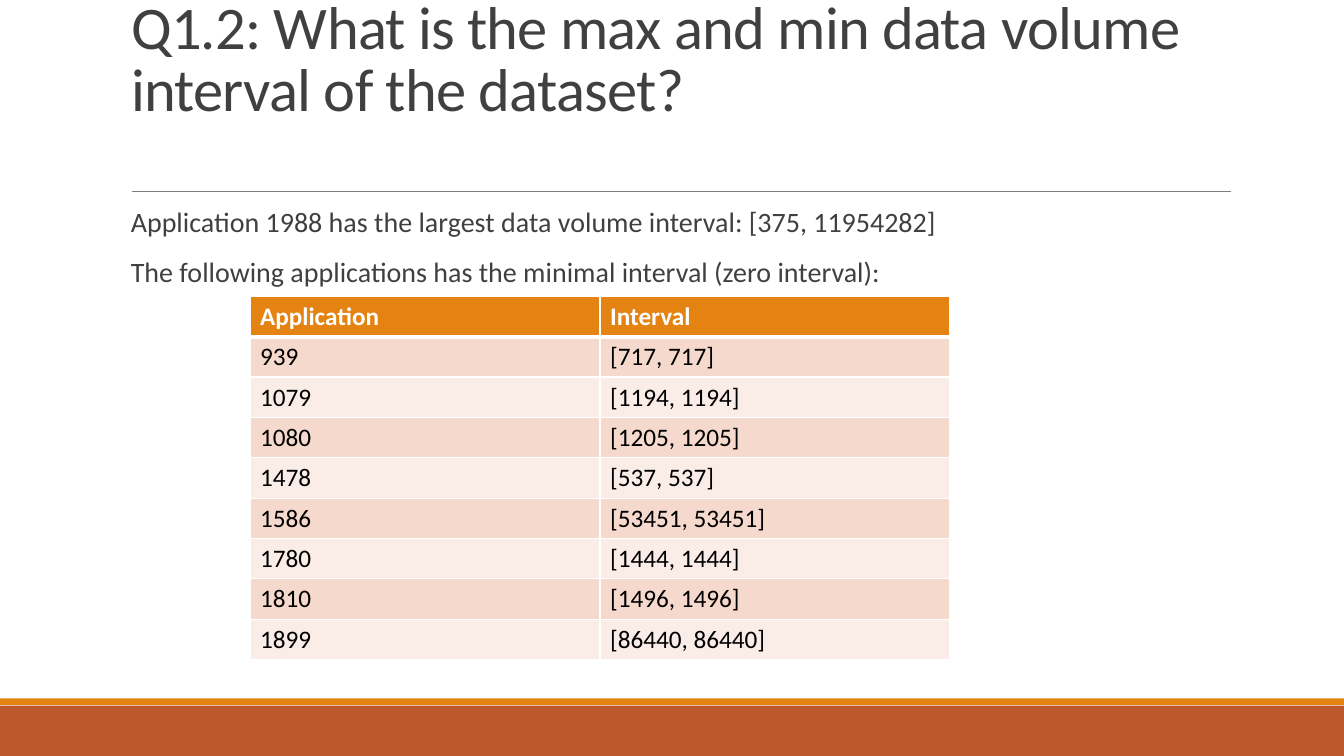
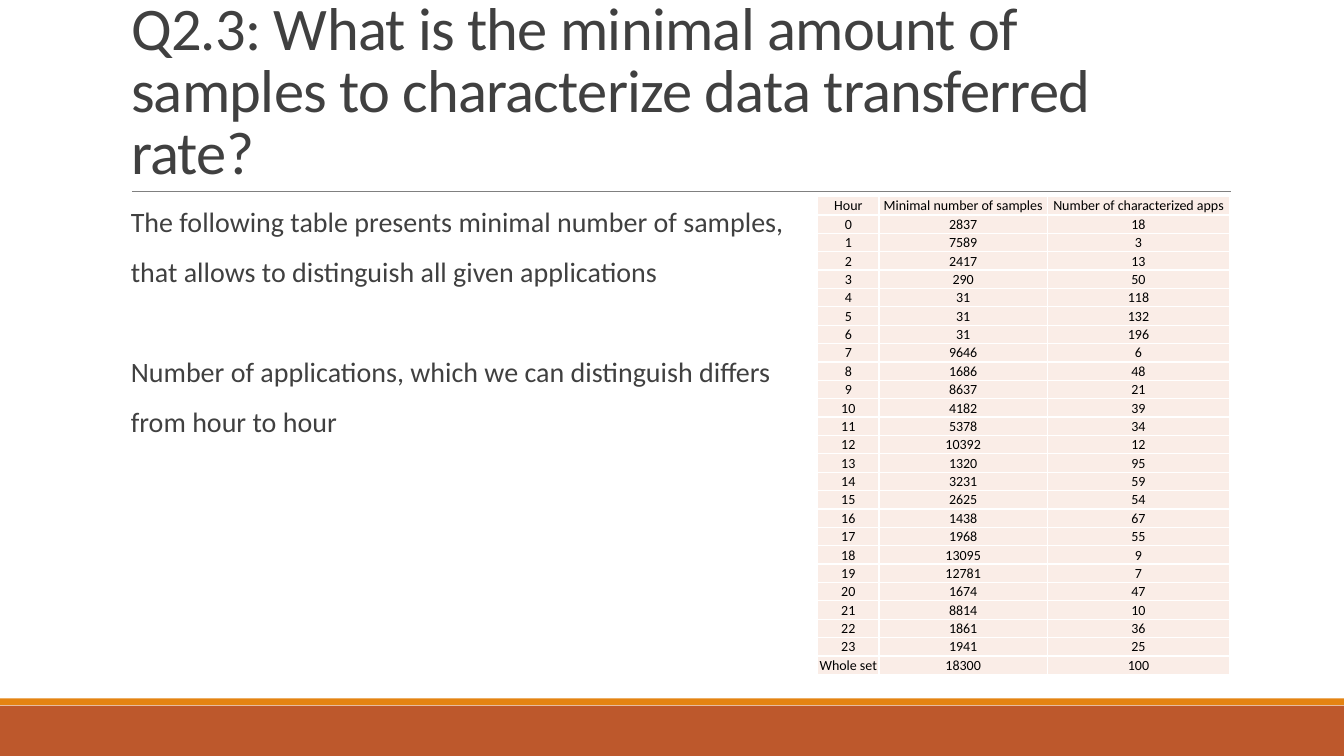
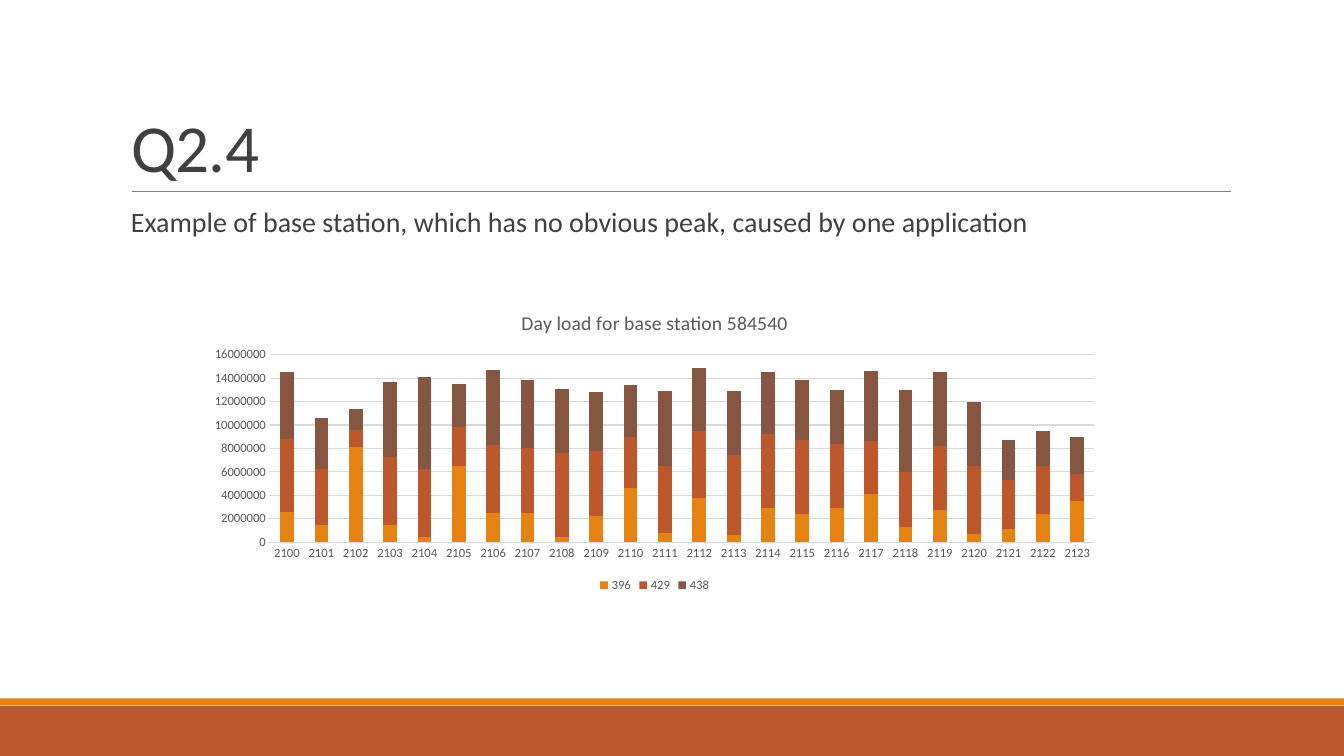
"""Build three slides on application traffic: two tables and a stacked column chart."""
from dataclasses import dataclass
from typing import Any, Optional

import lxml.etree
import pptx
import pptx.chart.data
import pptx.dml.color
import pptx.enum.chart
import pptx.enum.shapes
import pptx.enum.text
import pptx.oxml
import pptx.oxml.ns
import pptx.util

Pt = pptx.util.Pt
RGBColor = pptx.dml.color.RGBColor
qn = pptx.oxml.ns.qn

ORANGE = RGBColor(0xE4, 0x83, 0x12)
RUST = RGBColor(0xBD, 0x58, 0x2C)
BROWN = RGBColor(0x86, 0x56, 0x40)
PEACH = RGBColor(0xF5, 0xD9, 0xCC)
CREAM = RGBColor(0xFA, 0xED, 0xE7)
WHITE = RGBColor(0xFF, 0xFF, 0xFF)
BLACK = RGBColor(0, 0, 0)
INK = RGBColor(0x40, 0x40, 0x40)
CHART_TEXT = RGBColor(0x59, 0x59, 0x59)
RULE_GRAY = RGBColor(0x80, 0x80, 0x80)
GRID_GRAY = RGBColor(0xD9, 0xD9, 0xD9)

FONT_NAME = "Calibri"
TITLE_ONLY_LAYOUT = 5
SLIDE_WIDTH, SLIDE_HEIGHT = 960, 540
CONTENT_LEFT, CONTENT_WIDTH = 86.4, 792
TITLE_LINE = 44.6


@dataclass(frozen=True)
class Box:
    """Position and size in points."""

    left: float
    top: float
    width: float
    height: float

    def lengths(self) -> tuple:
        """Return the four values as lengths."""
        return Pt(self.left), Pt(self.top), Pt(self.width), Pt(self.height)


@dataclass(frozen=True)
class Band:
    """A filled strip at the foot of the slide."""

    box: Box
    color: RGBColor


@dataclass(frozen=True)
class TitleStyle:
    """Title size and space left below its text."""

    size: float = 43.2
    bottom: float = 3.6


@dataclass(frozen=True)
class BodyLine:
    """A paragraph and the space before it."""

    text: str
    before: float = 12


@dataclass(frozen=True)
class TableStyle:
    """Appearance of a table."""

    size: float
    row_height: float
    row_fills: tuple
    header_fill: Optional[RGBColor] = None
    alignment: pptx.enum.text.PP_ALIGN = pptx.enum.text.PP_ALIGN.LEFT
    anchor: pptx.enum.text.MSO_ANCHOR = pptx.enum.text.MSO_ANCHOR.TOP
    margins: tuple = (7.2, 3.6, 7.2, 3.6)


@dataclass(frozen=True)
class Series:
    """A chart series in units of 100000."""

    name: str
    color: RGBColor
    values: tuple


BANDS = (
    Band(Box(0, 504, SLIDE_WIDTH, 36), RUST),
    Band(Box(0, 498.8, SLIDE_WIDTH, 5), ORANGE),
)
TITLE_BOX = Box(CONTENT_LEFT, 22.5, CONTENT_WIDTH, 114.3)
BODY_BOX = Box(CONTENT_LEFT, 145.4, CONTENT_WIDTH, 316.8)

INTERVAL_STYLE = TableStyle(18, 28.8, (PEACH, CREAM), ORANGE)
SAMPLE_STYLE = TableStyle(
    10, 13.15, (CREAM,), None, pptx.enum.text.PP_ALIGN.CENTER,
    pptx.enum.text.MSO_ANCHOR.MIDDLE, (0.6, 0.6, 0.6, 0),
)

INTERVAL_ROWS = [
    ("Application", "Interval"),
    ("939", "[717, 717]"),
    ("1079", "[1194, 1194]"),
    ("1080", "[1205, 1205]"),
    ("1478", "[537, 537]"),
    ("1586", "[53451, 53451]"),
    ("1780", "[1444, 1444]"),
    ("1810", "[1496, 1496]"),
    ("1899", "[86440, 86440]"),
]
HOURLY_SAMPLES = (
    2837, 7589, 2417, 290, 31, 31, 31, 9646, 1686, 8637, 4182, 5378,
    10392, 1320, 3231, 2625, 1438, 1968, 13095, 12781, 1674, 8814, 1861, 1941,
)
HOURLY_APPS = (
    18, 3, 13, 50, 118, 132, 196, 6, 48, 21, 39, 34,
    12, 95, 59, 54, 67, 55, 9, 7, 47, 10, 36, 25,
)
SAMPLE_ROWS = [
    ("Hour", "Minimal number of samples", "Number of characterized apps"),
    *zip(range(24), HOURLY_SAMPLES, HOURLY_APPS),
    ("Whole set", 18300, 100),
]
LOAD_SERIES = (
    Series("396", ORANGE, (26, 15, 81, 15, 4, 65, 25, 25, 4, 22, 46, 8,
                           38, 6, 29, 24, 29, 41, 13, 27, 7, 11, 24, 35)),
    Series("429", RUST, (62, 47, 15, 58, 58, 33, 58, 55, 72, 56, 44, 57,
                         57, 68, 63, 63, 55, 45, 47, 55, 58, 42, 41, 23)),
    Series("438", BROWN, (57, 44, 18, 64, 79, 37, 64, 58, 55, 50, 44, 64,
                          54, 55, 53, 51, 46, 60, 70, 63, 55, 34, 30, 32)),
)


def apply_format(target: Any, values: dict) -> None:
    """Set each named attribute on the target."""
    for name, value in values.items():
        setattr(target, name, value)


def format_font(font: Any, size: float, color: RGBColor, bold: bool = False) -> None:
    """Set typeface, size, weight and colour."""
    apply_format(font, {"name": FONT_NAME, "size": Pt(size), "bold": bold})
    font.color.rgb = color


def set_margins(target: Any, margins: tuple) -> None:
    """Set left, top, right and bottom text margins."""
    sides = ("left", "top", "right", "bottom")
    apply_format(target, {f"margin_{side}": Pt(value) for side, value in zip(sides, margins)})


def format_line(line: Any, color: RGBColor, width: float) -> None:
    """Set colour and width of a line."""
    line.color.rgb = color
    line.width = Pt(width)


def add_frame(slide: Any) -> None:
    """Draw the foot bands and the rule under the title."""
    for band in BANDS:
        shape = slide.shapes.add_shape(
            pptx.enum.shapes.MSO_SHAPE.RECTANGLE, *band.box.lengths())
        shape.shadow.inherit = False
        shape.fill.solid()
        shape.fill.fore_color.rgb = band.color
        shape.line.fill.background()
    rule = slide.shapes.add_connector(
        pptx.enum.shapes.MSO_CONNECTOR.STRAIGHT, Pt(94.3), Pt(136.8), Pt(879.1), Pt(136.8))
    format_line(rule.line, RULE_GRAY, 0.5)
    lxml.etree.SubElement(rule.element.spPr, qn("a:effectLst"))


def set_title(slide: Any, text: str, style: TitleStyle) -> None:
    """Place and format the title placeholder."""
    title = slide.shapes.title
    apply_format(title, dict(zip(("left", "top", "width", "height"), TITLE_BOX.lengths())))
    frame = title.text_frame
    apply_format(frame, {
        "word_wrap": True,
        "auto_size": pptx.enum.text.MSO_AUTO_SIZE.NONE,
        "vertical_anchor": pptx.enum.text.MSO_ANCHOR.BOTTOM,
    })
    set_margins(frame, (7.2, 3.6, 7.2, style.bottom))
    paragraph = frame.paragraphs[0]
    apply_format(paragraph, {
        "alignment": pptx.enum.text.PP_ALIGN.LEFT, "line_spacing": 0.85, "space_before": Pt(0),
    })
    run = paragraph.add_run()
    run.text = text
    format_font(run.font, style.size, INK)
    run._r.get_or_add_rPr().set("spc", "-50")


def add_body(slide: Any, lines: list) -> None:
    """Add the body text below the rule."""
    frame = slide.shapes.add_textbox(*BODY_BOX.lengths()).text_frame
    frame.word_wrap = True
    set_margins(frame, (7.2, 3.6, 0, 3.6))
    for index, line in enumerate(lines):
        paragraph = frame.add_paragraph() if index else frame.paragraphs[0]
        apply_format(paragraph, {
            "line_spacing": 0.9,
            "space_before": Pt(line.before if index else 0),
            "space_after": Pt(2),
        })
        run = paragraph.add_run()
        run.text = line.text
        format_font(run.font, 20, INK)


def add_slide(presentation: Any, title: str, lines: list,
              style: TitleStyle = TitleStyle()) -> Any:
    """Add a slide with the shared frame, a title and body text."""
    slide = presentation.slides.add_slide(presentation.slide_layouts[TITLE_ONLY_LAYOUT])
    add_frame(slide)
    set_title(slide, title, style)
    add_body(slide, lines)
    return slide


def set_borders(cell: Any, widths: dict) -> None:
    """Draw white cell borders of the given widths."""
    properties = cell._tc.get_or_add_tcPr()
    for side, width in widths.items():
        line = lxml.etree.SubElement(properties, qn(f"a:ln{side}"), w=str(Pt(width)))
        fill = lxml.etree.SubElement(line, qn("a:solidFill"))
        lxml.etree.SubElement(fill, qn("a:srgbClr"), val=str(WHITE))


def add_table(slide: Any, left: float, top: float, widths: tuple,
              rows: list, style: TableStyle) -> None:
    """Add a table with explicit fills and borders."""
    box = Box(left, top, sum(widths), style.row_height * len(rows))
    table = slide.shapes.add_table(len(rows), len(widths), *box.lengths()).table
    has_header = style.header_fill is not None
    apply_format(table, {"first_row": has_header, "horz_banding": False})
    for column, width in zip(table.columns, widths):
        column.width = Pt(width)
    for row_index, values in enumerate(rows):
        table.rows[row_index].height = Pt(style.row_height)
        is_header = has_header and row_index == 0
        fill = style.row_fills[(row_index - has_header) % len(style.row_fills)]
        top_width = 3 if has_header and row_index == 1 else 1
        for column_index, value in enumerate(values):
            cell = table.cell(row_index, column_index)
            set_borders(cell, {"L": 1, "R": 1, "T": top_width, "B": 3 if is_header else 1})
            cell.fill.solid()
            cell.fill.fore_color.rgb = style.header_fill if is_header else fill
            cell.vertical_anchor = style.anchor
            set_margins(cell, style.margins)
            paragraph = cell.text_frame.paragraphs[0]
            paragraph.alignment = style.alignment
            run = paragraph.add_run()
            run.text = str(value)
            format_font(run.font, style.size, WHITE if is_header else BLACK, is_header)


def set_plot_layout(chart: Any, fractions: dict) -> None:
    """Fix the inner plot area as fractions of the chart."""
    plot_area = chart.element.find(".//" + qn("c:plotArea"))
    for old_layout in plot_area.findall(qn("c:layout")):
        plot_area.remove(old_layout)
    layout = lxml.etree.Element(qn("c:layout"))
    manual = lxml.etree.SubElement(layout, qn("c:manualLayout"))
    settings = {"layoutTarget": "inner", "xMode": "edge", "yMode": "edge", **fractions}
    for name, value in settings.items():
        lxml.etree.SubElement(manual, qn(f"c:{name}"), val=str(value))
    plot_area.insert(0, layout)


def add_load_chart(slide: Any) -> None:
    """Add the stacked chart of load by hour."""
    data = pptx.chart.data.CategoryChartData(number_format="0")
    data.categories = [str(hour) for hour in range(2100, 2124)]
    for series in LOAD_SERIES:
        data.add_series(series.name, [value * 100000 for value in series.values])
    chart = slide.shapes.add_chart(
        pptx.enum.chart.XL_CHART_TYPE.COLUMN_STACKED,
        *Box(140.4, 210.2, 654.5, 216).lengths(), data).chart
    format_font(chart.font, 10, BLACK)

    chart.has_title = True
    chart.chart_title.include_in_layout = False
    run = chart.chart_title.text_frame.paragraphs[0].add_run()
    run.text = "Day load for base station 584540"
    format_font(run.font, 14, CHART_TEXT)

    chart.has_legend = True
    apply_format(chart.legend, {
        "position": pptx.enum.chart.XL_LEGEND_POSITION.BOTTOM, "include_in_layout": False,
    })
    format_font(chart.legend.font, 9, CHART_TEXT)

    plot = chart.plots[0]
    apply_format(plot, {"gap_width": 150, "overlap": 100, "vary_by_categories": False})
    for drawn, series in zip(plot.series, LOAD_SERIES):
        drawn.format.fill.solid()
        drawn.format.fill.fore_color.rgb = series.color

    for axis in (chart.category_axis, chart.value_axis):
        apply_format(axis, {
            "major_tick_mark": pptx.enum.chart.XL_TICK_MARK.NONE,
            "minor_tick_mark": pptx.enum.chart.XL_TICK_MARK.NONE,
        })
        format_font(axis.tick_labels.font, 9, CHART_TEXT)
    format_line(chart.category_axis.format.line, GRID_GRAY, 0.75)
    value_axis = chart.value_axis
    apply_format(value_axis, {
        "minimum_scale": 0, "maximum_scale": 16000000, "major_unit": 2000000,
        "has_major_gridlines": True,
    })
    apply_format(value_axis.tick_labels, {"number_format": "0", "number_format_is_linked": False})
    value_axis.format.line.fill.background()
    format_line(value_axis.major_gridlines.format.line, GRID_GRAY, 0.75)
    set_plot_layout(chart, {"x": 0.08, "y": 0.2, "w": 0.9, "h": 0.62})


def main() -> None:
    """Build and save the presentation."""
    presentation = pptx.Presentation()
    apply_format(presentation, {
        "slide_width": Pt(SLIDE_WIDTH), "slide_height": Pt(SLIDE_HEIGHT),
    })

    interval_slide = add_slide(
        presentation,
        "Q1.2: What is the max and min data volume interval of the dataset?",
        [
            BodyLine("Application 1988 has the largest data volume interval: [375, 11954282]"),
            BodyLine("The following applications has the minimal interval (zero interval):"),
        ],
        TitleStyle(bottom=3.6 + TITLE_LINE),
    )
    add_table(interval_slide, 178.6, 211.7, (250, 250), INTERVAL_ROWS, INTERVAL_STYLE)

    sample_slide = add_slide(
        presentation,
        "Q2.3: What is the minimal amount of samples to characterize data transferred rate?",
        [
            BodyLine("The following table presents minimal number of samples,"),
            BodyLine("that allows to distinguish all given applications"),
            BodyLine("Number of applications, which we can distinguish differs", 48),
            BodyLine("from hour to hour"),
        ],
    )
    add_table(sample_slide, 584, 140.4, (43.9, 120.2, 130.3), SAMPLE_ROWS, SAMPLE_STYLE)

    load_slide = add_slide(
        presentation,
        "Q2.4",
        [BodyLine("Example of base station, which has no obvious peak, caused by one application")],
        TitleStyle(size=48),
    )
    add_load_chart(load_slide)

    presentation.save("out.pptx")


if __name__ == "__main__":
    main()
